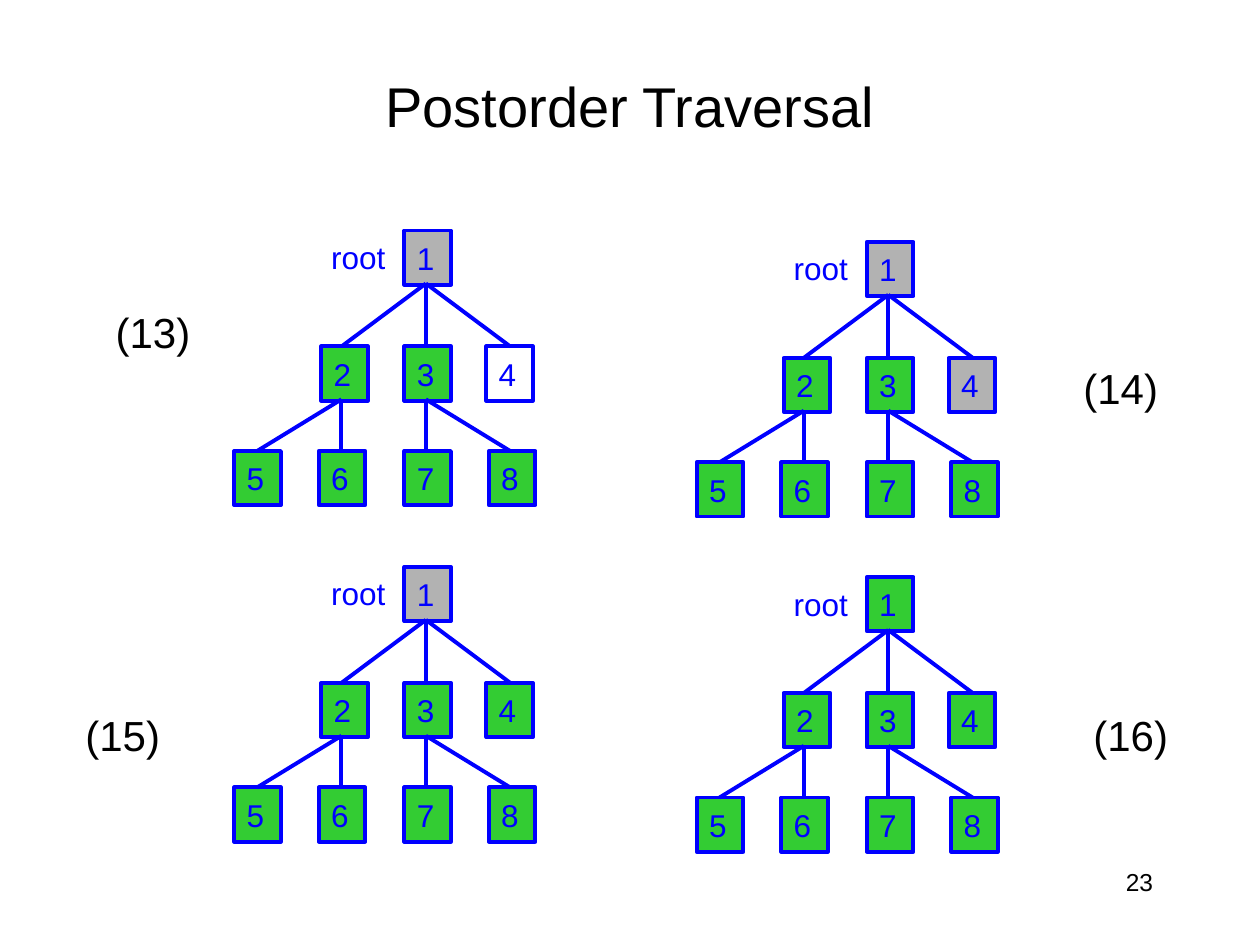
import pptx
import pptx.util
import pptx.dml.color
import pptx.enum.shapes
import pptx.enum.text
import pptx.oxml.ns
import lxml.etree

Inches = pptx.util.Inches
ALIGN = pptx.enum.text.PP_ALIGN
ANCHOR = pptx.enum.text.MSO_ANCHOR
BLUE, GREEN, GRAY, BLACK = "0000FF", "33CC33", "B2B2B2", "000000"


def color(value):
    return pptx.dml.color.RGBColor.from_string(value)


def write(shape, text, size=18, fill=BLUE, align=ALIGN.LEFT, anchor=ANCHOR.MIDDLE, wrap=False):
    frame = shape.text_frame
    frame.word_wrap = wrap
    frame.vertical_anchor = anchor
    paragraph = frame.paragraphs[0]
    paragraph.alignment = align
    run = paragraph.add_run()
    run.text = text
    run.font.size = pptx.util.Pt(size)
    run.font.name = "Arial"
    run.font.color.rgb = color(fill)


presentation = pptx.Presentation()
presentation.slide_width = Inches(10)
presentation.slide_height = Inches(7.5)
slide = presentation.slides.add_slide(presentation.slide_layouts[5])
shapes = slide.shapes

title = shapes.title
title.left, title.top, title.width, title.height = map(Inches, (0.75, 0.42, 8.5, 0.83))
write(title, "Postorder Traversal", size=32, fill=BLACK, align=ALIGN.CENTER, wrap=True)

page_number = shapes.add_textbox(Inches(7.17), Inches(6.83), Inches(2.08), Inches(0.5))
write(page_number, "23", size=14, fill=BLACK, align=ALIGN.RIGHT, anchor=ANCHOR.TOP, wrap=True)

node_offsets = {
    "1": (-0.17, 0), "2": (-0.83, 0.92), "3": (-0.17, 0.92), "4": (0.48, 0.92),
    "5": (-1.52, 1.75), "6": (-0.85, 1.75), "7": (-0.17, 1.75), "8": (0.5, 1.75),
}
column = 0.67
branches = [
    (0, 0.42, (-1, 0, 1), 0.92),
    (-1, 1.34, (-2, -1), 1.75),
    (0, 1.34, (0, 1), 1.75),
]
trees = [
    ("(13)", 3.38, 1.83, 0.82, 2.38, {"1": GRAY, "4": None}),
    ("(14)", 7.05, 1.92, 8.5, 2.83, {"1": GRAY, "4": GRAY}),
    ("(15)", 3.38, 4.5, 0.58, 5.58, {"1": GRAY}),
    ("(16)", 7.05, 4.58, 8.58, 5.58, {}),
]

for step, center, top, step_left, step_top, unfinished in trees:
    for number, (across, down) in node_offsets.items():
        node = shapes.add_shape(
            pptx.enum.shapes.MSO_SHAPE.RECTANGLE,
            Inches(center + across), Inches(top + down), Inches(0.37), Inches(0.43))
        node.shadow.inherit = False
        node.line.color.rgb = color(BLUE)
        node.line.width = pptx.util.Pt(2.25)
        fill = unfinished.get(number, GREEN)
        if fill:
            node.fill.solid()
            node.fill.fore_color.rgb = color(fill)
        else:
            node.fill.background()
        write(node, number)

    for parent, start, children, end in branches:
        for child in children:
            edge = shapes.add_connector(
                pptx.enum.shapes.MSO_CONNECTOR.STRAIGHT,
                Inches(center + parent * column), Inches(top + start),
                Inches(center + child * column), Inches(top + end))
            edge.line.color.rgb = color(BLUE)
            edge.line.width = pptx.util.Pt(2.25)
            lxml.etree.SubElement(edge._element.spPr, pptx.oxml.ns.qn("a:effectLst"))

    root_label = shapes.add_textbox(
        Inches(center - 0.85), Inches(top + 0.01), Inches(0.63), Inches(0.4))
    write(root_label, "root")
    step_label = shapes.add_textbox(
        Inches(step_left), Inches(step_top), Inches(0.8), Inches(0.5))
    write(step_label, step, size=24, fill=BLACK)

presentation.save("out.pptx")
